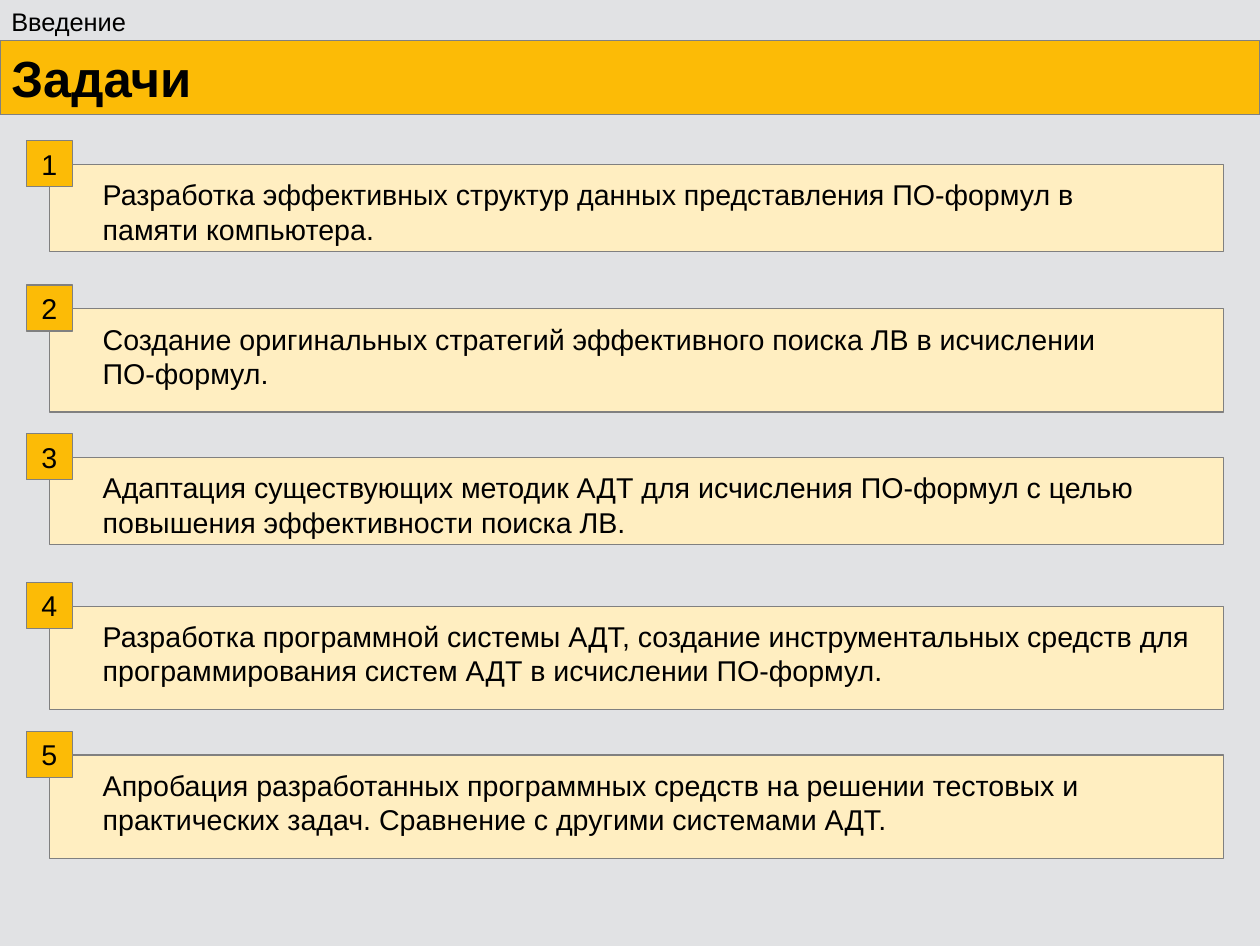
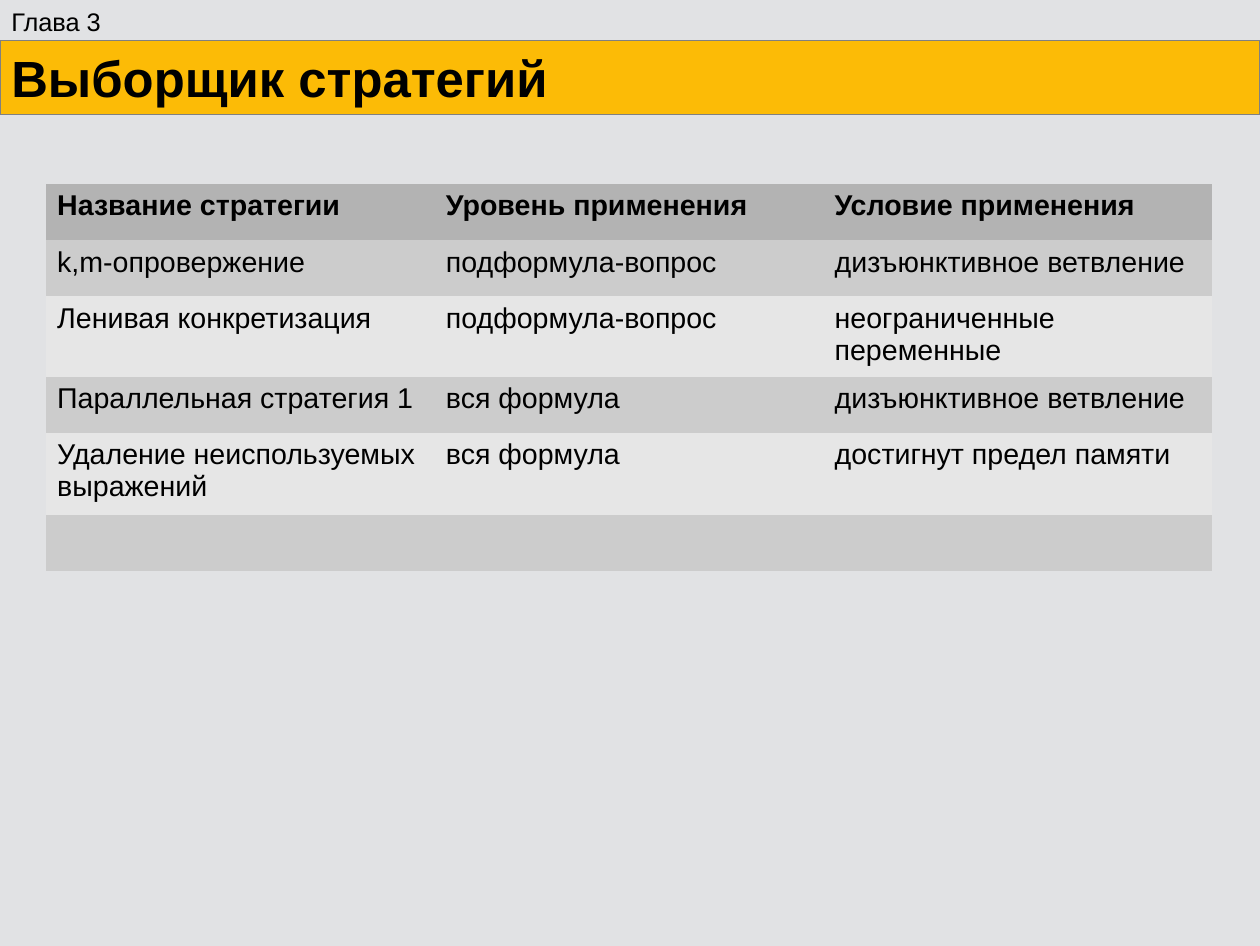
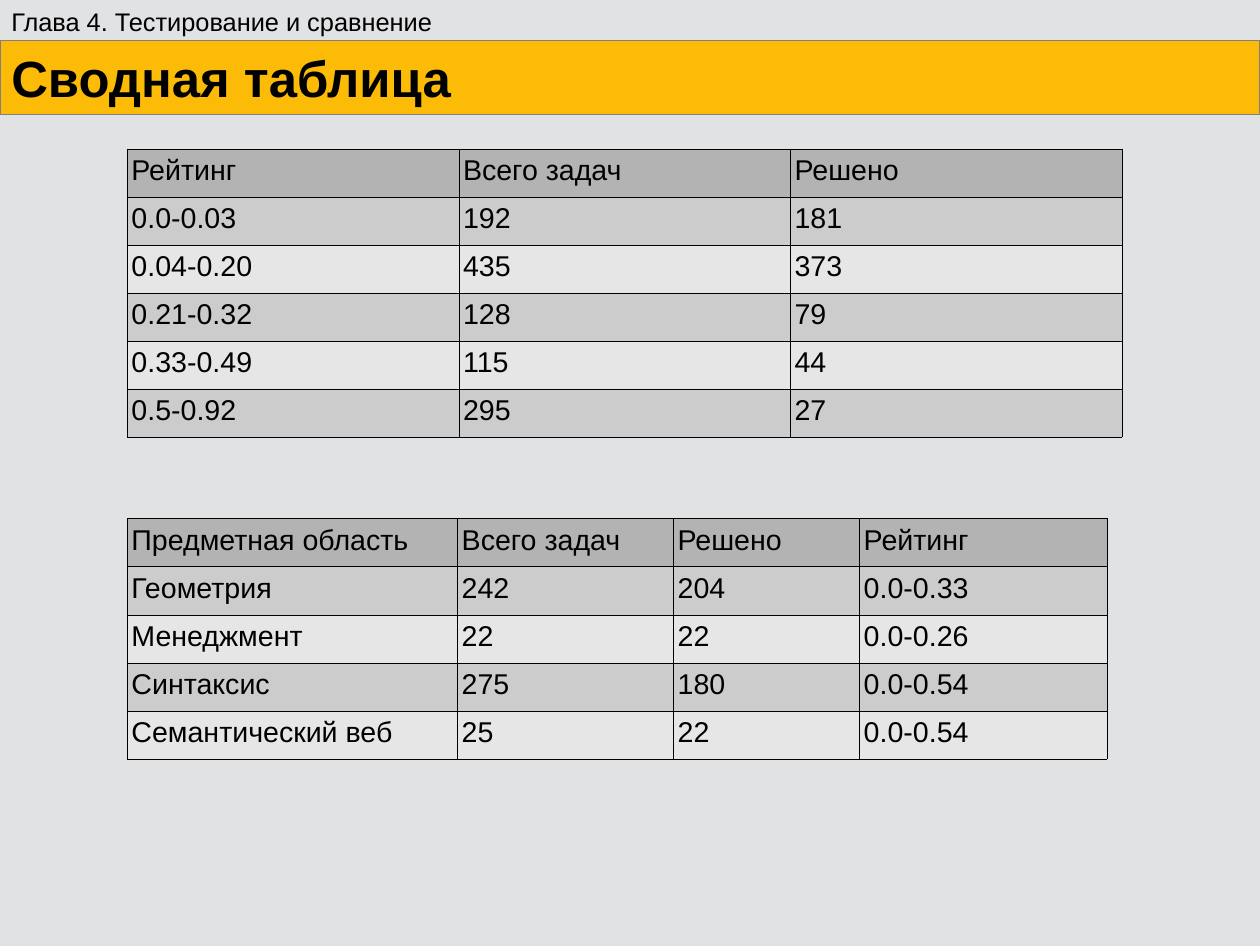
from lxml import etree
from pptx import Presentation
from pptx.dml.color import RGBColor
from pptx.enum import shapes, text
from pptx.oxml import ns
from pptx.util import Pt

# Shared look
FONT = "Arial"
BACKGROUND = RGBColor(0xE1, 0xE2, 0xE4)
ACCENT = RGBColor(0xFC, 0xBB, 0x06)
PANEL = RGBColor(0xFF, 0xEE, 0xC1)
OUTLINE = RGBColor(0x80, 0x80, 0x80)
INK = RGBColor(0x00, 0x00, 0x00)
HEADER_GREY = RGBColor(0xB3, 0xB3, 0xB3)
BAND_GREYS = (RGBColor(0xCC, 0xCC, 0xCC), RGBColor(0xE6, 0xE6, 0xE6))
SLIDE_W, SLIDE_H = 793.44, 595.44

# Slide content
TASKS = [
    "Разработка эффективных структур данных представления ПО-формул в\n"
    "памяти компьютера.",
    "Создание оригинальных стратегий эффективного поиска ЛВ в исчислении\n"
    "ПО-формул.",
    "Адаптация существующих методик АДТ для исчисления ПО-формул с целью\n"
    "повышения эффективности поиска ЛВ.",
    "Разработка программной системы АДТ, создание инструментальных средств для\n"
    "программирования систем АДТ в исчислении ПО-формул.",
    "Апробация разработанных программных средств на решении тестовых и\n"
    "практических задач. Сравнение с другими системами АДТ.",
]
TASK_TOPS = [103.6] + [194.4 + 93.6 * step for step in range(4)]
TASK_HEIGHTS = [54.8, 65, 54.8, 65, 65]

STRATEGIES = [
    ("Название стратегии", "Уровень применения", "Условие применения"),
    ("k,m-опровержение", "подформула-вопрос", "дизъюнктивное ветвление"),
    ("Ленивая конкретизация", "подформула-вопрос", "неограниченные переменные"),
    ("Параллельная стратегия 1", "вся формула", "дизъюнктивное ветвление"),
    ("Удаление неиспользуемых выражений", "вся формула",
     "достигнут предел памяти"),
    ("", "", ""),
]
RATINGS = [
    ("Рейтинг", "Всего задач", "Решено"),
    ("0.0-0.03", "192", "181"),
    ("0.04-0.20", "435", "373"),
    ("0.21-0.32", "128", "79"),
    ("0.33-0.49", "115", "44"),
    ("0.5-0.92", "295", "27"),
]
DOMAINS = [
    ("Предметная область", "Всего задач", "Решено", "Рейтинг"),
    ("Геометрия", "242", "204", "0.0-0.33"),
    ("Менеджмент", "22", "22", "0.0-0.26"),
    ("Синтаксис", "275", "180", "0.0-0.54"),
    ("Семантический веб", "25", "22", "0.0-0.54"),
]


def write_text(frame, content, size=18, bold=False, align=text.PP_ALIGN.LEFT):
    """Fill a text frame, one paragraph for each line of the content."""
    frame.word_wrap = True
    for index, line in enumerate(content.split("\n")):
        paragraph = frame.add_paragraph() if index else frame.paragraphs[0]
        paragraph.alignment = align
        run = paragraph.add_run()
        run.text = line
        run.font.name = FONT
        run.font.size = Pt(size)
        run.font.bold = bold
        run.font.color.rgb = INK


def add_label(slide, left, top, width, height, content, **style):
    label = slide.shapes.add_textbox(Pt(left), Pt(top), Pt(width), Pt(height))
    write_text(label.text_frame, content, **style)


def add_block(slide, left, top, width, height, fill, content="", **style):
    block = slide.shapes.add_shape(shapes.MSO_SHAPE.RECTANGLE, Pt(left),
                                   Pt(top), Pt(width), Pt(height))
    block.shadow.inherit = False
    block.fill.solid()
    block.fill.fore_color.rgb = fill
    block.line.color.rgb = OUTLINE
    block.line.width = Pt(0)
    if content:
        write_text(block.text_frame, content, **style)


def set_borders(cell, width):
    """Draw all four cell borders, or none when the width is 0."""
    properties = cell._tc.get_or_add_tcPr()
    for side in ("a:lnL", "a:lnR", "a:lnT", "a:lnB"):
        border = etree.SubElement(properties, ns.qn(side), w=str(Pt(width)))
        if width:
            fill = etree.SubElement(border, ns.qn("a:solidFill"))
            etree.SubElement(fill, ns.qn("a:srgbClr"), val=str(INK))
        else:
            etree.SubElement(border, ns.qn("a:noFill"))


def add_grid(slide, left, top, widths, heights, rows, side_margin=7.2,
             border=0, bold_header=False):
    """Add a table with a dark header row and alternating grey rows."""
    table = slide.shapes.add_table(
        len(rows), len(widths), Pt(left), Pt(top),
        Pt(sum(widths)), Pt(sum(heights))).table
    for column, width in zip(table.columns, widths):
        column.width = Pt(width)
    for row_index, (row, height) in enumerate(zip(rows, heights)):
        table.rows[row_index].height = Pt(height)
        is_header = row_index == 0
        shade = HEADER_GREY if is_header else BAND_GREYS[(row_index - 1) % 2]
        for column_index, value in enumerate(row):
            cell = table.cell(row_index, column_index)
            set_borders(cell, border)
            cell.fill.solid()
            cell.fill.fore_color.rgb = shade
            cell.margin_left = cell.margin_right = Pt(side_margin)
            if value:
                write_text(cell.text_frame, value,
                           bold=is_header and bold_header)


def new_slide(deck, section, title):
    """Add a slide with the shared background, title band and section name."""
    slide = deck.slides.add_slide(deck.slide_layouts[6])
    slide.background.fill.solid()
    slide.background.fill.fore_color.rgb = BACKGROUND
    add_block(slide, 0, 25.4, SLIDE_W, 46.6, ACCENT, title, size=32, bold=True)
    add_label(slide, 0, 0.5, 400, 27, section, size=16)
    return slide


def build_tasks(deck):
    slide = new_slide(deck, "Введение", "Задачи")
    cards = zip(TASKS, TASK_TOPS, TASK_HEIGHTS)
    for number, (task, top, height) in enumerate(cards, start=1):
        add_block(slide, 31, top, 739.6, height, PANEL)
        add_label(slide, 57.6, top + 4.4, 713, 52, task)
        add_block(slide, 16.5, top - 15, 29, 29, ACCENT, str(number),
                  align=text.PP_ALIGN.CENTER)


def build_strategies(deck):
    slide = new_slide(deck, "Глава 3", "Выборщик стратегий")
    add_grid(slide, 28.8, 116, [244.8] * 3,
             [35.3, 35.3, 50.4, 35.3, 51.6, 35.3],
             STRATEGIES, bold_header=True)


def build_summary(deck):
    slide = new_slide(deck, "Глава 4. Тестирование и сравнение",
                      "Сводная таблица")
    tables = [(93.6, [208.8] * 3, RATINGS),
              (326.3, [208, 136, 117.2, 156], DOMAINS)]
    for top, widths, rows in tables:
        add_grid(slide, 80, top, widths, [30.3] * len(rows), rows,
                 side_margin=2.8, border=0.06)


def main():
    deck = Presentation()
    deck.slide_width, deck.slide_height = Pt(SLIDE_W), Pt(SLIDE_H)
    build_tasks(deck)
    build_strategies(deck)
    build_summary(deck)
    deck.save("out.pptx")


if __name__ == "__main__":
    main()
